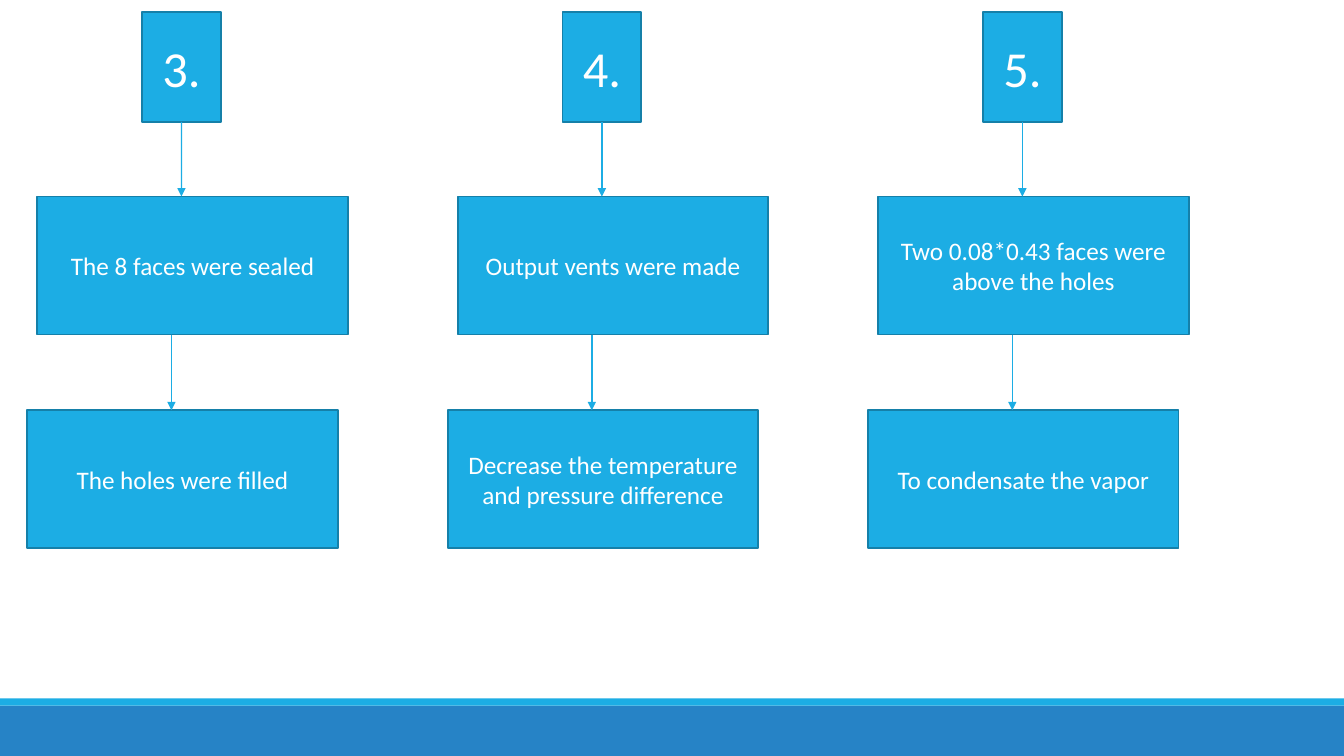
import pptx
import pptx.dml.color
import pptx.enum.shapes
import pptx.enum.text
import pptx.util
from lxml import etree
from pptx.oxml.ns import qn
from pptx.util import Inches

STEPS = [
    ("3.", "The 8 faces were sealed", "The holes were filled"),
    ("4.", "Output vents were made", "Decrease the temperature and pressure difference"),
    ("5.", "Two 0.08*0.43 faces were above the holes", "To condensate the vapor"),
]
BLUE, DARK_BLUE, FOOTER_BLUE, WHITE = "1CADE4", "1580A9", "2683C6", "FFFFFF"
FONT = "Calibri"

# left (in the first column), top, width, height
NUMBER = (1.41, 0.12, 0.78, 1.09)
ACTION = (0.37, 1.95, 3.08, 1.37)
PURPOSE = (0.27, 4.07, 3.08, 1.37)
COLUMN_PITCH = 4.17
NUMBER_ARROW_X = NUMBER[0] + NUMBER[2] / 2
ACTION_ARROW_X = 1.70

SLIDE_WIDTH, SLIDE_HEIGHT = 13.33, 7.5
FOOTER_TOP, STRIPE_HEIGHT = 7.0, 0.07


def color(hex_text):
    return pptx.dml.color.RGBColor.from_string(hex_text)


def add_rectangle(slide, left, top, width, height, fill):
    rectangle = slide.shapes.add_shape(
        pptx.enum.shapes.MSO_SHAPE.RECTANGLE,
        Inches(left), Inches(top), Inches(width), Inches(height))
    rectangle.shadow.inherit = False
    rectangle.fill.solid()
    rectangle.fill.fore_color.rgb = color(fill)
    rectangle.line.fill.background()
    return rectangle


def add_box(slide, place, shift, text, size):
    """Add an outlined box with centred text, moved right by shift."""
    left, top, width, height = place
    box = add_rectangle(slide, left + shift, top, width, height, BLUE)
    box.line.color.rgb = color(DARK_BLUE)
    box.line.width = pptx.util.Pt(1.25)
    box.text_frame.word_wrap = True
    box.text_frame.vertical_anchor = pptx.enum.text.MSO_ANCHOR.MIDDLE
    paragraph = box.text_frame.paragraphs[0]
    paragraph.text = text
    paragraph.alignment = pptx.enum.text.PP_ALIGN.CENTER
    paragraph.font.name = FONT
    paragraph.font.size = pptx.util.Pt(size)
    paragraph.font.color.rgb = color(WHITE)
    return box


def add_down_arrow(slide, x, top, bottom):
    arrow = slide.shapes.add_connector(
        pptx.enum.shapes.MSO_CONNECTOR.STRAIGHT,
        Inches(x), Inches(top), Inches(x), Inches(bottom))
    arrow.line.color.rgb = color(BLUE)
    arrow.line.width = pptx.util.Pt(1)
    etree.SubElement(arrow.line._get_or_add_ln(), qn("a:tailEnd"), type="triangle")
    etree.SubElement(arrow._element.spPr, qn("a:effectLst"))
    return arrow


def main():
    deck = pptx.Presentation()
    deck.slide_width = Inches(SLIDE_WIDTH)
    deck.slide_height = Inches(SLIDE_HEIGHT)
    slide = deck.slides.add_slide(deck.slide_layouts[6])

    add_rectangle(slide, 0, FOOTER_TOP, SLIDE_WIDTH, SLIDE_HEIGHT - FOOTER_TOP, FOOTER_BLUE)
    add_rectangle(slide, 0, FOOTER_TOP - STRIPE_HEIGHT, SLIDE_WIDTH, STRIPE_HEIGHT, BLUE)

    for column, (number, action, purpose) in enumerate(STEPS):
        shift = column * COLUMN_PITCH
        number_box = add_box(slide, NUMBER, shift, number, 36)
        add_box(slide, ACTION, shift, action, 18)
        add_box(slide, PURPOSE, shift, purpose, 18)
        number_arrow = add_down_arrow(
            slide, NUMBER_ARROW_X + shift, NUMBER[1] + NUMBER[3], ACTION[1])
        number_arrow.begin_connect(number_box, 2)
        add_down_arrow(slide, ACTION_ARROW_X + shift, ACTION[1] + ACTION[3], PURPOSE[1])

    deck.save("out.pptx")


if __name__ == "__main__":
    main()
